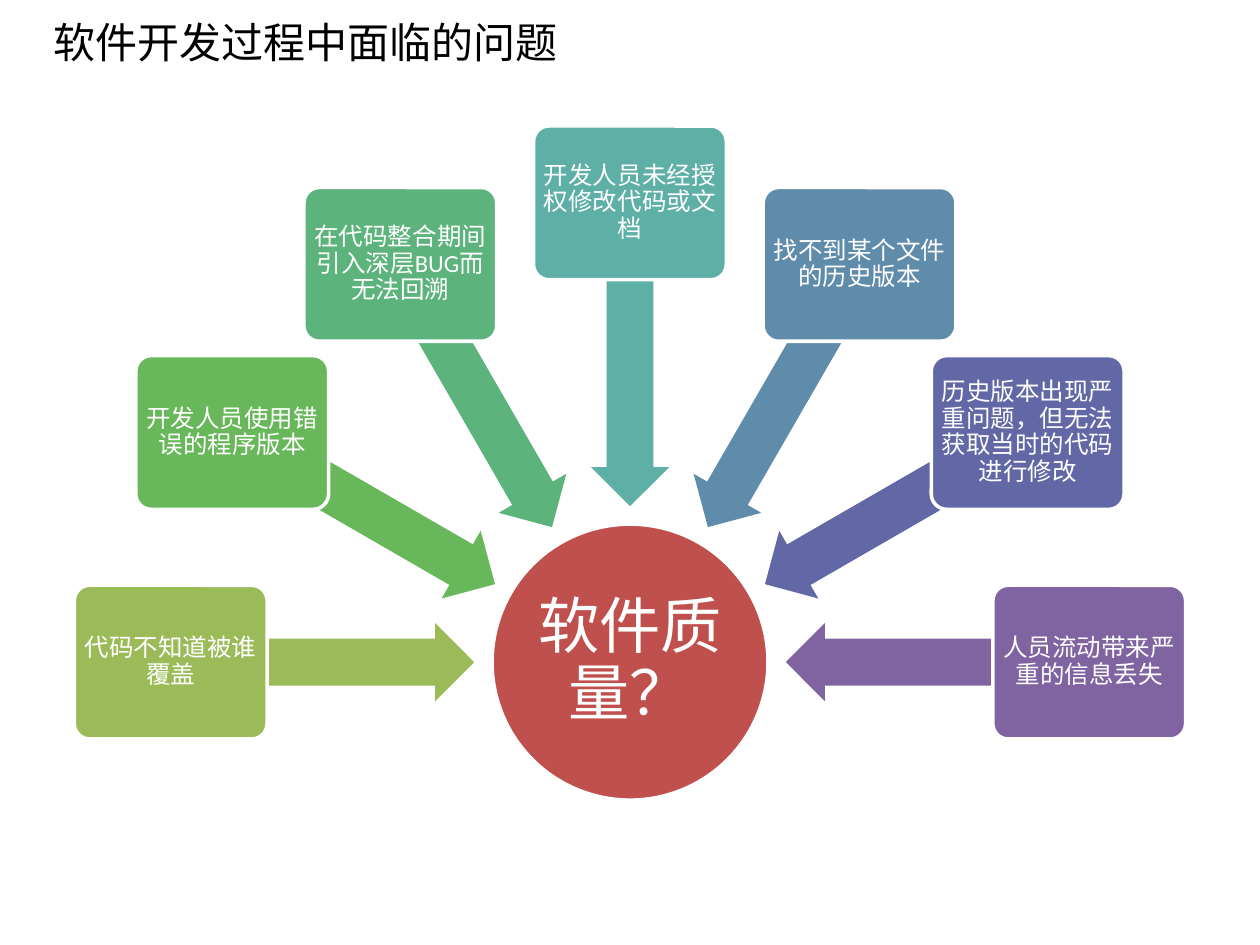
from dataclasses import dataclass
from math import cos, radians, sin

from lxml.etree import SubElement
from pptx import Presentation
from pptx.dml.color import RGBColor
from pptx.enum.shapes import MSO_SHAPE as Shape
from pptx.enum.text import MSO_ANCHOR as Anchor, PP_ALIGN as Align
from pptx.oxml.ns import qn
from pptx.util import Inches, Pt


@dataclass(frozen=True)
class Theme:
    latin: str = "Calibri"
    asian: str = "Noto Sans CJK SC"
    dark: str = "000000"
    light: str = "FFFFFF"
    hub: str = "C0504D"
    title_size: int = 24
    hub_size: int = 35
    problem_size: int = 14
    outline: int = 2


THEME = Theme()

# Problems clockwise from the left, each with its colour
PROBLEMS = [
    ("代码不知道被谁覆盖", "9BBB59"),
    ("开发人员使用错误的程序版本", "69B75B"),
    ("在代码整合期间引入深层BUG而无法回溯", "5CB37C"),
    ("开发人员未经授权修改代码或文档", "5EAFA6"),
    ("找不到某个文件的历史版本", "608CAB"),
    ("历史版本出现严重问题，但无法获取当时的代码进行修改", "6267A6"),
    ("人员流动带来严重的信息丢失", "8064A2"),
]


def apply(target, values):
    for name, value in values.items():
        setattr(target, name, value)


def write(shape, text, size, color, latin, margin=None, **paragraph_format):
    frame = shape.text_frame
    apply(frame, {"word_wrap": True, "vertical_anchor": Anchor.MIDDLE})
    if margin is not None:
        sides = ("left", "top", "right", "bottom")
        apply(frame, {f"margin_{side}": Inches(margin) for side in sides})
    paragraph = frame.paragraphs[0]
    apply(paragraph, paragraph_format)
    run = paragraph.add_run()
    run.text = text
    apply(run.font, {"name": latin, "size": Pt(size)})
    run.font.color.rgb = RGBColor.from_string(color)
    SubElement(run.font._element, qn("a:ea"), typeface=THEME.asian)


def add_centred(slide, kind, centre, size, color, outlined=True):
    """Place a filled shape around its centre point, in inches."""
    (x, y), (width, height) = centre, size
    shape = slide.shapes.add_shape(
        kind, Inches(x - width / 2), Inches(y - height / 2), Inches(width), Inches(height))
    shape.shadow.inherit = False
    shape.fill.solid()
    shape.fill.fore_color.rgb = RGBColor.from_string(color)
    if outlined:
        shape.line.color.rgb = RGBColor.from_string(THEME.light)
        shape.line.width = Pt(THEME.outline)
    else:
        shape.line.fill.background()
    return shape


def add_title(slide, left, top, width, height):
    box = slide.shapes.add_textbox(*map(Inches, (left, top, width, height)))
    write(box, "软件开发过程中面临的问题", THEME.title_size, THEME.dark, THEME.asian)


def add_radial_diagram(slide, left, top, width, height):
    """Draw a hub with problem cards on a half circle pointing at it."""
    hub_size, card_size, arrow_size = (2.19, 2.19), (1.53, 1.22), (2.41, 0.62)
    hub = (left + width / 2, top + height - hub_size[1] / 2)
    card_radius = (width - card_size[0]) / 2
    arrow_radius = card_radius * 0.67
    label_format = {"alignment": Align.CENTER, "line_spacing": 0.9}

    def around_hub(radius, angle):
        return (hub[0] + radius * cos(radians(angle)),
                hub[1] + radius * sin(radians(angle)))

    # Hub
    circle = add_centred(slide, Shape.OVAL, hub, hub_size, THEME.hub)
    write(circle, "软件质量？", THEME.hub_size, THEME.light, THEME.latin,
          margin=0.02, **label_format)

    # Arrows and cards
    step = 180 / (len(PROBLEMS) - 1)
    for index, (text, color) in enumerate(PROBLEMS):
        angle = 180 + index * step
        arrow = add_centred(slide, Shape.LEFT_ARROW, around_hub(arrow_radius, angle),
                            arrow_size, color, outlined=False)
        arrow.rotation = angle % 360
        arrow.adjustments[0], arrow.adjustments[1] = 0.6, 0.5

        card = add_centred(slide, Shape.ROUNDED_RECTANGLE,
                           around_hub(card_radius, angle), card_size, color)
        card.adjustments[0] = 0.1
        write(card, text, THEME.problem_size, THEME.light, THEME.latin,
              margin=0.03, **label_format)


def main():
    presentation = Presentation()
    apply(presentation, {"slide_width": Inches(10), "slide_height": Inches(7.5)})
    slide = presentation.slides.add_slide(presentation.slide_layouts[6])
    add_radial_diagram(slide, 0.59, 1, 8.82, 5.35)
    add_title(slide, 0.33, -0.03, 9, 0.72)
    presentation.save("out.pptx")


if __name__ == "__main__":
    main()
